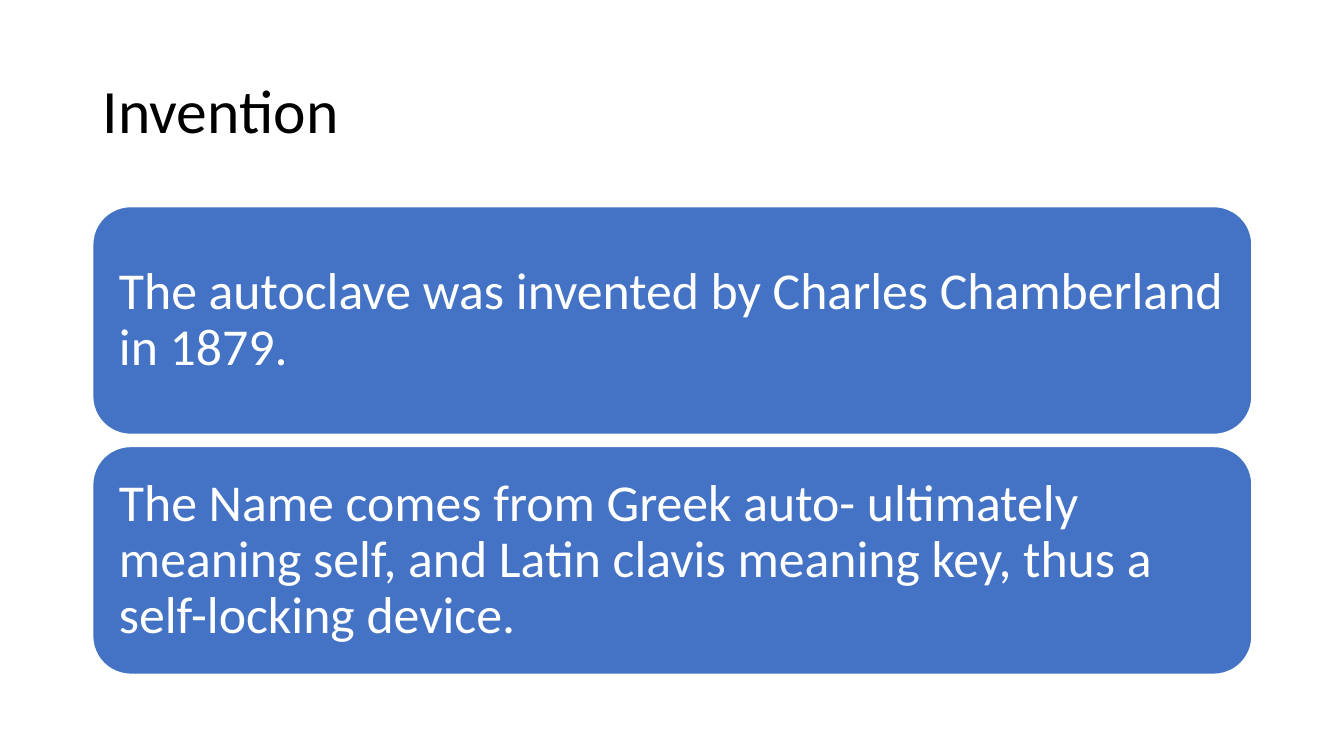
from pptx import Presentation
from pptx import util as u
from pptx.dml.color import RGBColor
from pptx.enum import shapes, text

THEME = {
    "font": "Calibri",
    "title_size": u.Pt(44),
    "card_size": u.Pt(37),
    "title_color": RGBColor(0x00, 0x00, 0x00),
    "card_text": RGBColor(0xFF, 0xFF, 0xFF),
    "card_fill": RGBColor(0x44, 0x72, 0xC4),
    "card_line": RGBColor(0xFF, 0xFF, 0xFF),
}

FACTS = [
    "The autoclave was invented by Charles Chamberland in 1879.",
    "The Name comes from Greek auto- ultimately meaning self, and Latin clavis "
    "meaning key, thus a self-locking device.",
]


def write_text(shape, content, size, color):
    frame = shape.text_frame
    frame.text = content
    frame.word_wrap = True
    frame.auto_size = text.MSO_AUTO_SIZE.NONE
    frame.vertical_anchor = text.MSO_ANCHOR.MIDDLE
    paragraph = frame.paragraphs[0]
    paragraph.alignment = text.PP_ALIGN.LEFT
    paragraph.line_spacing = 0.9
    font = paragraph.runs[0].font
    font.name = THEME["font"]
    font.size = size
    font.color.rgb = color


presentation = Presentation()
presentation.slide_width = u.Inches(13.333)
presentation.slide_height = u.Inches(7.5)
slide = presentation.slides.add_slide(presentation.slide_layouts[5])

left = u.Inches(0.92)
content_width = u.Inches(11.5)
card_top = u.Inches(2.05)
card_height = u.Inches(2.26)
card_gap = u.Inches(0.12)
card_inset = u.Inches(0.15)

title = slide.shapes.title
title.left, title.top = left, u.Inches(0.4)
title.width, title.height = content_width, u.Inches(1.45)
write_text(title, "Invention", THEME["title_size"], THEME["title_color"])

for row, fact in enumerate(FACTS):
    card = slide.shapes.add_shape(
        shapes.MSO_SHAPE.ROUNDED_RECTANGLE,
        left, card_top + row * (card_height + card_gap), content_width, card_height,
    )
    card.shadow.inherit = False
    card.fill.solid()
    card.fill.fore_color.rgb = THEME["card_fill"]
    card.line.color.rgb = THEME["card_line"]
    card.line.width = u.Pt(1)
    frame = card.text_frame
    frame.margin_left = frame.margin_right = card_inset
    frame.margin_top = frame.margin_bottom = card_inset
    write_text(card, fact, THEME["card_size"], THEME["card_text"])

presentation.save("out.pptx")
